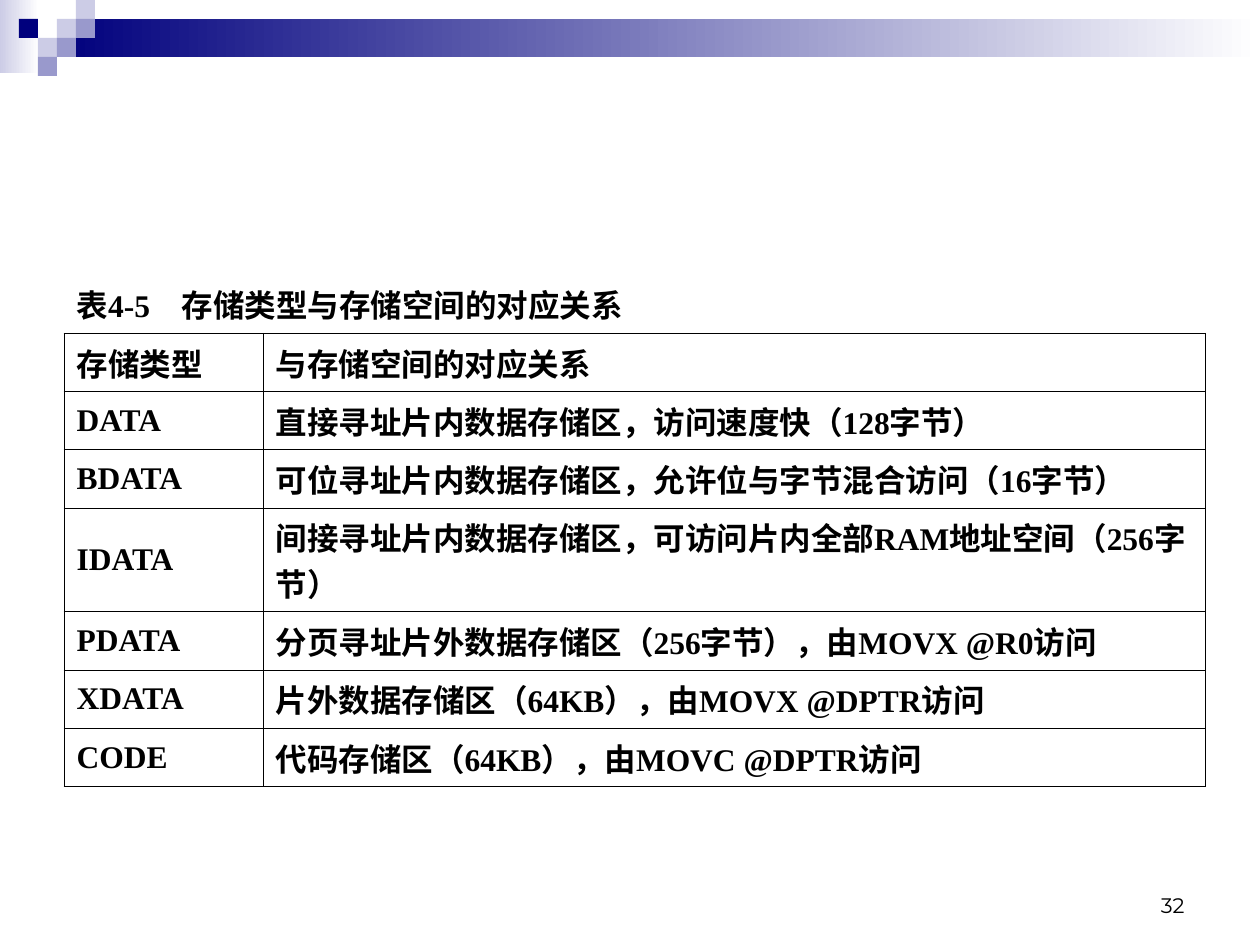
from dataclasses import dataclass
from typing import NamedTuple

from lxml import etree
from pptx import Presentation
from pptx.dml.color import RGBColor
from pptx.enum.shapes import MSO_SHAPE
from pptx.enum.text import MSO_ANCHOR, PP_ALIGN
from pptx.oxml.ns import qn
from pptx.util import Emu, Pt

RECTANGLE = MSO_SHAPE.RECTANGLE
MIDDLE, BOTTOM = MSO_ANCHOR.MIDDLE, MSO_ANCHOR.BOTTOM
RIGHT = PP_ALIGN.RIGHT

PX = 914400 // 126
TILE = 19


@dataclass(frozen=True)
class Theme:
    navy: str = "00007D"
    lavender: str = "CCCCE6"
    violet: str = "9999CC"
    white: str = "FFFFFF"
    black: str = "000000"
    table_font: str = "Times New Roman"
    number_font: str = "Montserrat"
    table_size: int = 18
    number_size: int = 12
    border_width: float = 0.45


class Band(NamedTuple):
    left: int
    top: int
    width: int
    height: int
    start: str
    end: str


class Tile(NamedTuple):
    column: int
    row: int
    colour: str


class MemoryType(NamedTuple):
    name: str
    relation: str
    height: int = 50


THEME = Theme()
BANDS = [
    Band(0, 0, 39, 73, THEME.lavender, THEME.white),
    Band(3 * TILE, TILE, 1203, 2 * TILE, THEME.navy, THEME.white),
]
TILES = [
    Tile(3, 1, THEME.lavender),
    Tile(4, 0, THEME.lavender),
    Tile(4, 1, THEME.violet),
    Tile(2, 2, THEME.lavender),
    Tile(1, 1, THEME.navy),
    Tile(3, 2, THEME.violet),
    Tile(2, 3, THEME.violet),
]
CAPTION = "表4-5\t存储类型与存储空间的对应关系"
CAPTION_TAB = 105
CAPTION_HEIGHT = 50
COLUMN_WIDTHS = (199, 942)
MEMORY_TYPES = [
    MemoryType("存储类型", "与存储空间的对应关系"),
    MemoryType("DATA", "直接寻址片内数据存储区，访问速度快（128字节）"),
    MemoryType("BDATA", "可位寻址片内数据存储区，允许位与字节混合访问（16字节）"),
    MemoryType("IDATA", "间接寻址片内数据存储区，可访问片内全部RAM地址空间（256字节）", 88),
    MemoryType("PDATA", "分页寻址片外数据存储区（256字节），由MOVX @R0访问"),
    MemoryType("XDATA", "片外数据存储区（64KB），由MOVX @DPTR访问"),
    MemoryType("CODE", "代码存储区（64KB），由MOVC @DPTR访问"),
]


def px(length: int) -> Emu:
    return Emu(length * PX)


def rgb(colour: str) -> RGBColor:
    return RGBColor.from_string(colour)


def add_rectangle(slide, left: int, top: int, width: int, height: int):
    shape = slide.shapes.add_shape(RECTANGLE, px(left), px(top), px(width), px(height))
    shape.shadow.inherit = False
    shape.line.fill.background()
    return shape


def add_band(slide, band: Band) -> None:
    fill = add_rectangle(slide, band.left, band.top, band.width, band.height).fill
    fill.gradient()
    fill.gradient_angle = 0
    for stop, colour in zip(fill.gradient_stops, (band.start, band.end)):
        stop.color.rgb = rgb(colour)


def add_tile(slide, tile: Tile) -> None:
    fill = add_rectangle(slide, tile.column * TILE, tile.row * TILE, TILE, TILE).fill
    fill.solid()
    fill.fore_color.rgb = rgb(tile.colour)


def style_text(para, font: str, size: int, bold: bool) -> None:
    for span in para.runs:
        span.font.name = font
        span.font.size = Pt(size)
        span.font.bold = bold
        span.font.color.rgb = rgb(THEME.black)


def set_borders(cell, sides: str) -> None:
    """Draw the sides named by L, R, T and B, in that schema order."""
    properties = cell._tc.get_or_add_tcPr()
    for position, side in enumerate(sides):
        line = etree.Element(qn(f"a:ln{side}"), w=str(Pt(THEME.border_width)))
        solid = etree.SubElement(line, qn("a:solidFill"))
        etree.SubElement(solid, qn("a:srgbClr"), val=THEME.black)
        properties.insert(position, line)


def fill_cell(cell, text: str, sides: str) -> None:
    cell.text_frame.text = text
    style_text(cell.text_frame.paragraphs[0], THEME.table_font, THEME.table_size, True)
    cell.fill.background()
    set_borders(cell, sides)


def add_caption(table) -> None:
    cell = table.cell(0, 0)
    cell.merge(table.cell(0, 1))
    for part in (cell, table.cell(0, 1)):
        part.fill.background()
        set_borders(part, "B")
    para = cell.text_frame.paragraphs[0]
    para.text = CAPTION
    tabs = etree.SubElement(para._p.get_or_add_pPr(), qn("a:tabLst"))
    etree.SubElement(tabs, qn("a:tab"), pos=str(px(CAPTION_TAB)), algn="l")
    style_text(para, THEME.table_font, THEME.table_size, True)


def add_memory_table(slide) -> None:
    heights = [CAPTION_HEIGHT] + [entry.height for entry in MEMORY_TYPES]
    frame = slide.shapes.add_table(
        len(heights), len(COLUMN_WIDTHS),
        px(64), px(275), px(sum(COLUMN_WIDTHS)), px(sum(heights)),
    )
    table = frame.table
    table.first_row = False
    table.horz_banding = False
    for column, width in zip(table.columns, COLUMN_WIDTHS):
        column.width = px(width)
    for row, height in zip(table.rows, heights):
        row.height = px(height)
    add_caption(table)
    for row, entry in enumerate(MEMORY_TYPES, start=1):
        for column, text in enumerate((entry.name, entry.relation)):
            cell = table.cell(row, column)
            fill_cell(cell, text, "LRTB")
            cell.vertical_anchor = MIDDLE


def add_page_number(slide, number: str) -> None:
    box = slide.shapes.add_textbox(px(903), px(861), px(294), px(63))
    frame = box.text_frame
    frame.word_wrap = True
    frame.vertical_anchor = BOTTOM
    frame.text = number
    para = frame.paragraphs[0]
    para.alignment = RIGHT
    style_text(para, THEME.number_font, THEME.number_size, False)


def main() -> None:
    deck = Presentation()
    deck.slide_width, deck.slide_height = px(1260), px(945)
    page = deck.slides.add_slide(deck.slide_layouts[6])
    for band in BANDS:
        add_band(page, band)
    for tile in TILES:
        add_tile(page, tile)
    add_memory_table(page)
    add_page_number(page, "32")
    deck.save("out.pptx")


if __name__ == "__main__":
    main()
